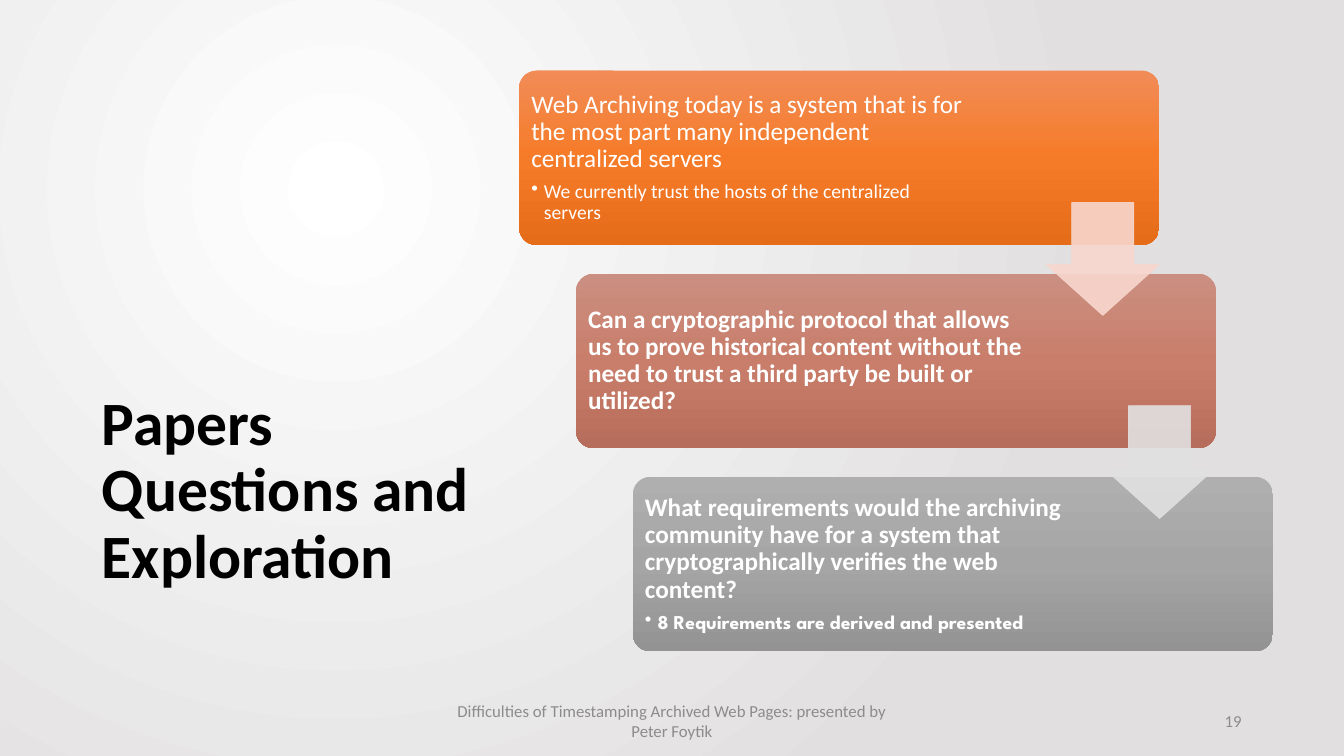
from lxml.etree import SubElement
from pptx import Presentation
from pptx.dml.color import RGBColor
from pptx.enum.shapes import MSO_SHAPE
from pptx.enum.text import MSO_ANCHOR, MSO_AUTO_SIZE, PP_ALIGN
from pptx.oxml.ns import qn
from pptx.util import Pt

# Each card: text width, gradient, heading, bold, bullet, bullet font
CARDS = [
    (323, ["F18C57", "F67B28", "E56C19"],
     "Web Archiving today is a system that is for the most part many "
     "independent centralized servers", False,
     "We currently trust the hosts of the centralized servers", "Calibri"),
    (329, ["CB8F81", "C97E6B", "B76D5B"],
     "Can a cryptographic protocol that allows us to prove historical content "
     "without the need to trust a third party be built or utilized?", True,
     None, None),
    (329, ["AFAFAF", "A5A5A5", "939393"],
     "What requirements would the archiving community have for a system that "
     "cryptographically verifies the web content?", True,
     "8 Requirements are derived and presented", "League Spartan"),
]
ARROWS = ["F8D7CE", "E1E1E1"]
STEP_X, STEP_Y = 40.6, 145.1


def color(value):
    return RGBColor.from_string(value)


def blend(fill, root, tones):
    """Turn a fill into evenly spaced stops and return its XML element."""
    fill.gradient()
    grad = root.find(".//" + qn("a:gradFill"))
    for part in list(grad):
        grad.remove(part)
    stops = SubElement(grad, qn("a:gsLst"))
    for i, tone in enumerate(tones):
        pos = 100000 * i // (len(tones) - 1)
        stop = SubElement(stops, qn("a:gs"), pos=str(pos))
        SubElement(stop, qn("a:srgbClr"), val=tone)
    return grad


def write(para, text, size=18, font="Calibri", tone="FFFFFF", bold=False,
          align=PP_ALIGN.LEFT, lines=None, after=0, bullet=False):
    if bullet:
        para.level = 1
        props = para._p.get_or_add_pPr()
        props.set("marL", str(Pt(9)))
        props.set("indent", str(Pt(-9)))
        SubElement(props, qn("a:buChar"), char="•")
    para.alignment = align
    para.line_spacing = lines
    para.space_before = Pt(0)
    para.space_after = Pt(after)
    run = para.add_run()
    run.text = text
    run.font.size = Pt(size)
    run.font.name = font
    run.font.bold = bold
    run.font.color.rgb = color(tone)


def box(shapes, x, y, w, h, inset=None):
    frame = shapes.add_textbox(Pt(x), Pt(y), Pt(w), Pt(h)).text_frame
    frame.word_wrap = True
    frame.vertical_anchor = MSO_ANCHOR.MIDDLE
    if inset:
        frame.margin_left = frame.margin_right = Pt(inset)
        frame.margin_top = frame.margin_bottom = Pt(inset)
    return frame


def card(shapes, i, wide, tones, head, bold, note, font):
    x, y = 370.8 + i * STEP_X, 50.4 + i * STEP_Y
    back = shapes.add_shape(MSO_SHAPE.ROUNDED_RECTANGLE,
                            Pt(x), Pt(y), Pt(457.2), Pt(124.6))
    back.adjustments[0] = 0.1
    back.shadow.inherit = False
    back.line.fill.background()
    grad = blend(back.fill, back.element.spPr, tones)
    SubElement(grad, qn("a:lin"), ang="5400000", scaled="0")
    frame = box(shapes, x + 3.7, y + 3.6, wide, 117.4, inset=5)
    write(frame.paragraphs[0], head, bold=bold, lines=0.9, after=6.3)
    if note:
        write(frame.add_paragraph(), note, size=14, font=font, bold=bold,
              lines=0.9, after=2.1, bullet=True)


def arrow(shapes, i, tone):
    shape = shapes.add_shape(MSO_SHAPE.DOWN_ARROW, Pt(747.4 + i * STEP_X),
                             Pt(144.7 + i * STEP_Y), Pt(80.6), Pt(80.6))
    shape.adjustments[0] = 0.55
    shape.adjustments[1] = 0.45
    shape.shadow.inherit = False
    shape.line.width = Pt(0.5)
    for fill in (shape.fill, shape.line.fill):
        fill.solid()
        fill.fore_color.rgb = color(tone)
    for clr in shape.element.spPr.iter(qn("a:srgbClr")):
        SubElement(clr, qn("a:alpha"), val="90000")


def main():
    deck = Presentation()
    deck.slide_width, deck.slide_height = Pt(960), Pt(540)
    slide = deck.slides.add_slide(deck.slide_layouts[5])
    shapes = slide.shapes

    # Background: glow centred in the upper left
    grad = blend(slide.background.fill, slide.element, ["FFFFFF", "E1DFDF"])
    glow = SubElement(grad, qn("a:path"), path="circle")
    SubElement(glow, qn("a:fillToRect"),
               l="50000", t="50000", r="100000", b="100000")

    # Title
    title = shapes.title
    title.left, title.top = Pt(65.5), Pt(219.6)
    title.width, title.height = Pt(298.8), Pt(263.5)
    frame = title.text_frame
    frame.auto_size = MSO_AUTO_SIZE.NONE
    frame.vertical_anchor = MSO_ANCHOR.MIDDLE
    write(frame.paragraphs[0], "Papers Questions and Exploration",
          size=44, tone="000000", bold=True, lines=0.9)

    # Staircase of cards joined by arrows
    stairs = shapes.add_group_shape().shapes
    for i, data in enumerate(CARDS):
        card(stairs, i, *data)
    for i, tone in enumerate(ARROWS):
        arrow(stairs, i, tone)

    # Slide number and footer
    write(box(shapes, 678, 500.5, 216, 28.8).paragraphs[0], "19",
          size=12, tone="8C8C8C", align=PP_ALIGN.RIGHT)
    write(box(shapes, 318, 500.5, 324, 28.8).paragraphs[0],
          "Difficulties of Timestamping Archived Web Pages: presented by "
          "Peter Foytik", size=12, tone="8C8C8C", align=PP_ALIGN.CENTER)

    deck.save("out.pptx")


if __name__ == "__main__":
    main()
